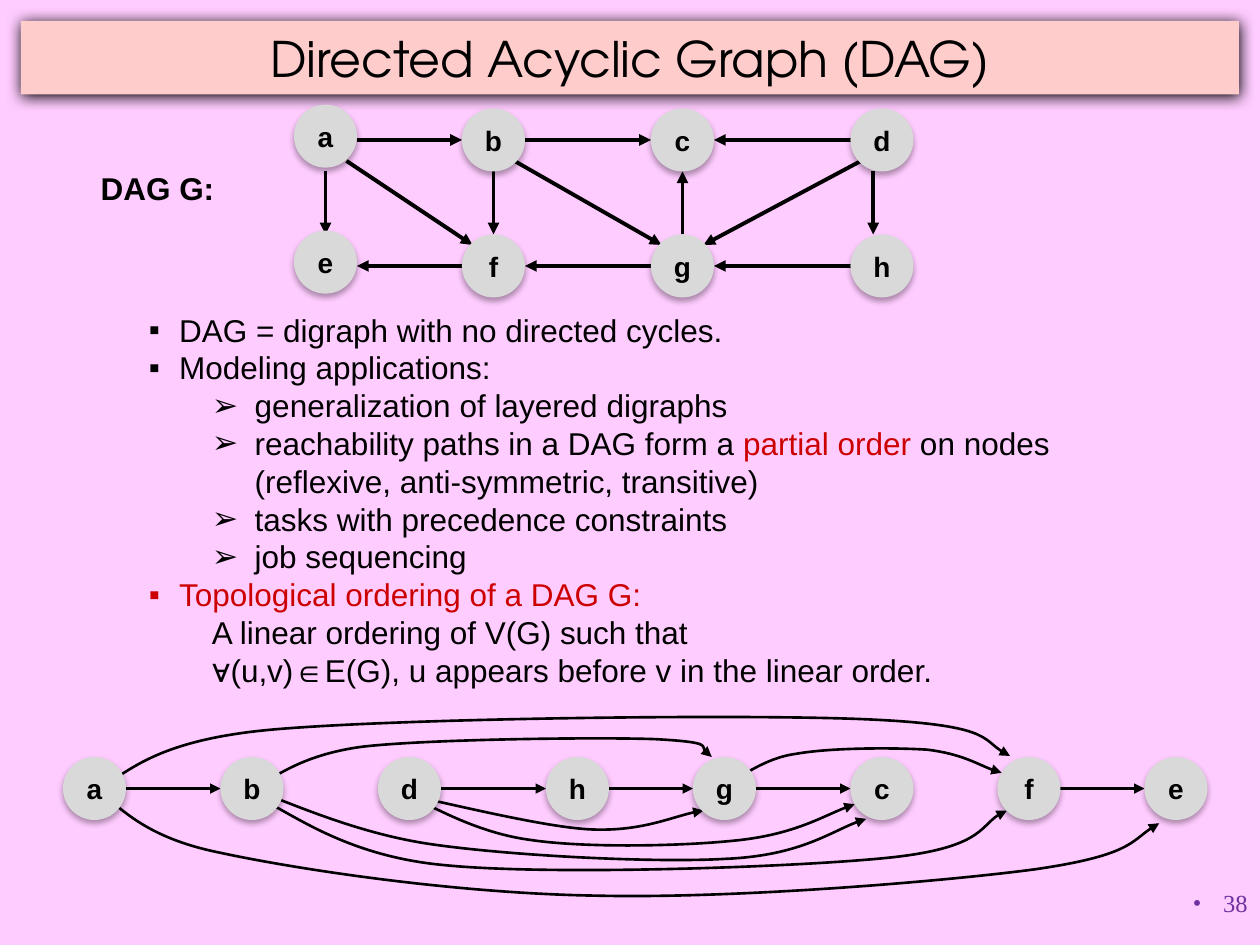
from lxml.etree import SubElement
from pptx import Presentation
from pptx.dml.color import RGBColor
from pptx.enum.shapes import MSO_CONNECTOR as Connector, MSO_SHAPE as Shape
from pptx.enum.text import MSO_ANCHOR as Anchor, PP_ALIGN as Align
from pptx.oxml.ns import qn
from pptx.util import Emu, Inches, Pt

# The slide is a grid of 120 columns by 90 rows, twelve to the inch.
UNIT = Inches(1) / 12
COLUMNS, ROWS = 120, 90
RADIUS = 3

COLORS = {"page": "FFCCFF", "banner": "FFCCCC", "node": "D9D9D9",
          "ink": "000000", "accent": "CC0000", "number": "7030A0"}

# Nodes of the DAG: column and row of each centre
TOP, BOTTOM = 13.33, 25.33
DAG = {"a": (31, TOP), "b": (47, TOP), "c": (65, TOP), "d": (84, TOP),
       "e": (31, BOTTOM), "f": (47, BOTTOM), "g": (65, BOTTOM), "h": (84, BOTTOM)}
DAG_EDGES = "ab bc dc hg gf fe ae bf gc dh af bg dg".split()
RAISED = {"a": -0.36, "e": -0.36}
SHIFTED = {"dh": -0.84}

# The same nodes in topological order
ORDER_ROW = 75.1
ORDER = {"a": 9, "b": 24, "d": 39, "h": 55, "g": 69, "c": 84, "f": 98, "e": 112}
ORDER_EDGES = "ab dh hg gc fe".split()

# Curved edges: a start, then three Bezier points for each segment
CURVES = {
    "af": [(9.1, 75.1), (11.9, 74.2), (13.7, 70.6), (25.8, 69.5), (38, 68.4),
           (70.6, 68), (82.3, 68.5), (94.2, 69), (93.5, 70.7), (96.2, 72)],
    "ae": [(9.2, 75.4), (11.2, 76.3), (13, 79.6), (20.9, 81.2), (28.8, 82.9),
           (43.8, 85.1), (56.8, 85.3), (69.7, 85.6), (89.4, 84), (98.5, 82.8),
           (107.5, 81.5), (107.9, 79.8), (110.4, 78.4)],
    "bc": [(24, 75.2), (26.9, 76.1), (33.5, 79.3), (41, 80.4), (48.5, 81.5),
           (62.3, 82.2), (69.1, 81.8), (76.1, 81.5), (79.7, 78.8), (82.5, 78)],
    "bg": [(24.1, 75), (25.9, 74.4), (28.3, 71.9), (34.7, 71.1), (41, 70.4),
           (56.8, 70.2), (62.4, 70.4), (68, 70.7), (66.6, 71.6), (67.8, 72.1)],
    "bf": [(24.1, 75.8), (27.2, 76.9), (32.3, 81.5), (42.4, 82.4), (52.4, 83.4),
           (75.6, 82.6), (84.5, 81.7), (93.4, 80.8), (93.5, 78.1), (95.9, 77.2)],
    "dc": [(38.9, 75.8), (40.9, 76.6), (45.2, 79.3), (50.5, 80), (55.8, 80.8),
           (65.4, 80.6), (70.6, 80), (75.7, 79.4), (79.2, 77.3), (81.4, 76.6)],
    "dg": [(39.1, 75.8), (41.9, 76.3), (51.7, 78.8), (56.3, 79), (61, 79.2),
           (64.7, 77.5), (67, 77.2)],
    "gf": [(69, 74.8), (70.2, 74.3), (72.7, 72.2), (75.8, 71.8), (79.1, 71.2),
           (85.1, 71.2), (88.3, 71.4), (91.6, 71.8), (93.8, 73.2), (95.4, 73.6)],
}

# Bullet styles: character, font, left margin and hanging indent in inches
SQUARE = ("▪", "Arial", 0.24, 0.24)
ARROW = ("➢", "Arial", 0.84, 0.34)
DOT = ("•", "Times New Roman", 0.24, 0.24)

# Body paragraphs: bullet style and coloured spans; \v breaks the line
BODY = [
    (SQUARE, [("DAG = digraph with no directed cycles.", "ink")]),
    (SQUARE, [("Modeling applications:", "ink")]),
    (ARROW, [("generalization of layered digraphs", "ink")]),
    (ARROW, [("reachability paths in a DAG form a ", "ink"), ("partial order", "accent"),
             (" on nodes\v(reflexive, anti-symmetric, transitive)", "ink")]),
    (ARROW, [("tasks with precedence constraints", "ink")]),
    (ARROW, [("job sequencing", "ink")]),
    (SQUARE, [("Topological ordering of a DAG G:", "accent"),
              ("\v\tA linear ordering of V(G) such that"
               "\v\t∀(u,v)∈E(G), u appears before v in the linear order.", "ink")]),
]


def grid(*lengths):
    return [Emu(round(length * UNIT)) for length in lengths]


def color(name):
    return RGBColor.from_string(COLORS[name])


def style(font, size, name="Arial", ink="ink", bold=False):
    font.size, font.name, font.bold = Pt(size), name, bold
    font.color.rgb = color(ink)


def add_shadow(shape, alpha, blur, distance):
    shape.shadow.inherit = False
    effects = shape.element.spPr.find(qn("a:effectLst"))
    outer = SubElement(effects, qn("a:outerShdw"), blurRad=str(Pt(blur)),
                       dist=str(Pt(distance)), dir="5400000", rotWithShape="0")
    ink = SubElement(outer, qn("a:srgbClr"), val=COLORS["ink"])
    SubElement(ink, qn("a:alpha"), val=str(alpha * 1000))


def add_block(page, kind, place, fill, text, **font):
    """Filled shape without outline, holding one centred line."""
    shape = page.shapes.add_shape(kind, *grid(*place))
    shape.fill.solid()
    shape.fill.fore_color.rgb = color(fill)
    shape.line.fill.background()
    frame = shape.text_frame
    frame.text, frame.vertical_anchor = text, Anchor.MIDDLE
    frame.paragraphs[0].alignment = Align.CENTER
    style(frame.paragraphs[0].runs[0].font, **font)
    return shape


def add_node(page, name, column, row):
    place = (column - RADIUS, row - RADIUS, 2 * RADIUS, 2 * RADIUS)
    node = add_block(page, Shape.OVAL, place, "node", name, size=16, bold=True)
    node.text_frame.margin_left = node.text_frame.margin_right = 0
    add_shadow(node, alpha=32, blur=3.5, distance=2.2)


def finish_arrow(arrow, width):
    arrow.line.width = Pt(width)
    arrow.line.color.rgb = color("ink")
    properties = arrow.element.spPr
    SubElement(properties.find(qn("a:ln")), qn("a:tailEnd"), type="triangle")
    if properties.find(qn("a:effectLst")) is None:
        SubElement(properties, qn("a:effectLst"))


def add_arrow(page, start, end, width):
    arrow = page.shapes.add_connector(Connector.STRAIGHT, *grid(*start, *end))
    finish_arrow(arrow, width)


def add_curve(page, points, width):
    start, *rest = [grid(*point) for point in points]
    builder = page.shapes.build_freeform(*start)
    builder.add_line_segments(rest, close=False)
    curve = builder.convert_to_shape()
    curve.fill.background()
    curve.shadow.inherit = False
    # Gather every three line points into one Bezier segment
    outline = next(curve.element.iter(qn("a:path")))
    lines = outline.findall(qn("a:lnTo"))
    for first in range(0, len(lines), 3):
        segment = SubElement(outline, qn("a:cubicBezTo"))
        for line in lines[first:first + 3]:
            segment.append(line[0])
            outline.remove(line)
    finish_arrow(curve, width)


def add_text(page, place, wrap=True):
    box = page.shapes.add_textbox(*grid(*place))
    box.text_frame.word_wrap = wrap
    return box.text_frame


def add_bullet(para, bullet):
    mark, font, margin, hang = bullet
    properties = para._p.get_or_add_pPr()
    properties.set("marL", str(Inches(margin)))
    properties.set("indent", str(-Inches(hang)))
    SubElement(properties, qn("a:buFont"), typeface=font)
    SubElement(properties, qn("a:buChar"), char=mark)


def add_body(page):
    frame = add_text(page, (13, 29, 90, 37.2))
    for index, (bullet, spans) in enumerate(BODY):
        para = frame.add_paragraph() if index else frame.paragraphs[0]
        para.level = 1 if bullet is ARROW else 0
        add_bullet(para, bullet)
        for text, ink in spans:
            for number, piece in enumerate(text.split("\v")):
                if number:
                    para.add_line_break()
                if piece:
                    span = para.add_run()
                    span.text = piece
                    style(span.font, 18, ink=ink)


def add_label(page, place, text, align, bullet=None, wrap=True, **font):
    para = add_text(page, place, wrap).paragraphs[0]
    para.text, para.alignment = text, align
    if bullet:
        add_bullet(para, bullet)
    style(para.runs[0].font, **font)


def add_dag(page):
    for edge in DAG_EDGES:
        (x1, y1), (x2, y2) = DAG[edge[0]], DAG[edge[1]]
        across, down = (x2 > x1) - (x2 < x1), (y2 > y1) - (y2 < y1)
        reach = 2 if across and down else RADIUS
        shift = SHIFTED.get(edge, 0)
        add_arrow(page, (x1 + shift + reach * across, y1 + reach * down),
                  (x2 + shift - reach * across, y2 - reach * down), 2.25)
    for name, (column, row) in DAG.items():
        add_node(page, name, column, row + RAISED.get(name, 0))


def add_order(page):
    for points in CURVES.values():
        add_curve(page, points, 1.5)
    for tail, head in ORDER_EDGES:
        add_arrow(page, (ORDER[tail] + 1, ORDER_ROW), (ORDER[head] - RADIUS, ORDER_ROW), 1.5)
    for name, column in ORDER.items():
        add_node(page, name, column, ORDER_ROW)


def main():
    deck = Presentation()
    deck.slide_width, deck.slide_height = grid(COLUMNS, ROWS)
    page = deck.slides.add_slide(deck.slide_layouts[6])
    page.background.fill.solid()
    page.background.fill.fore_color.rgb = color("page")

    # Title banner
    banner = add_block(page, Shape.RECTANGLE, (2, 2, 116, 7), "banner",
                       "Directed Acyclic Graph (DAG)", size=28, name="TeX Gyre Adventor")
    add_shadow(banner, alpha=100, blur=8.5, distance=1)

    # Explanation, both drawings and the page number
    add_body(page)
    add_order(page)
    add_dag(page)
    add_label(page, (8.4, 15.5, 13.2, 4.8), "DAG G:", Align.CENTER, wrap=False, size=18, bold=True)
    add_label(page, (95, 84, 25, 6), "38", Align.RIGHT, DOT, size=14,
              name="Times New Roman", ink="number")
    deck.save("out.pptx")


if __name__ == "__main__":
    main()
